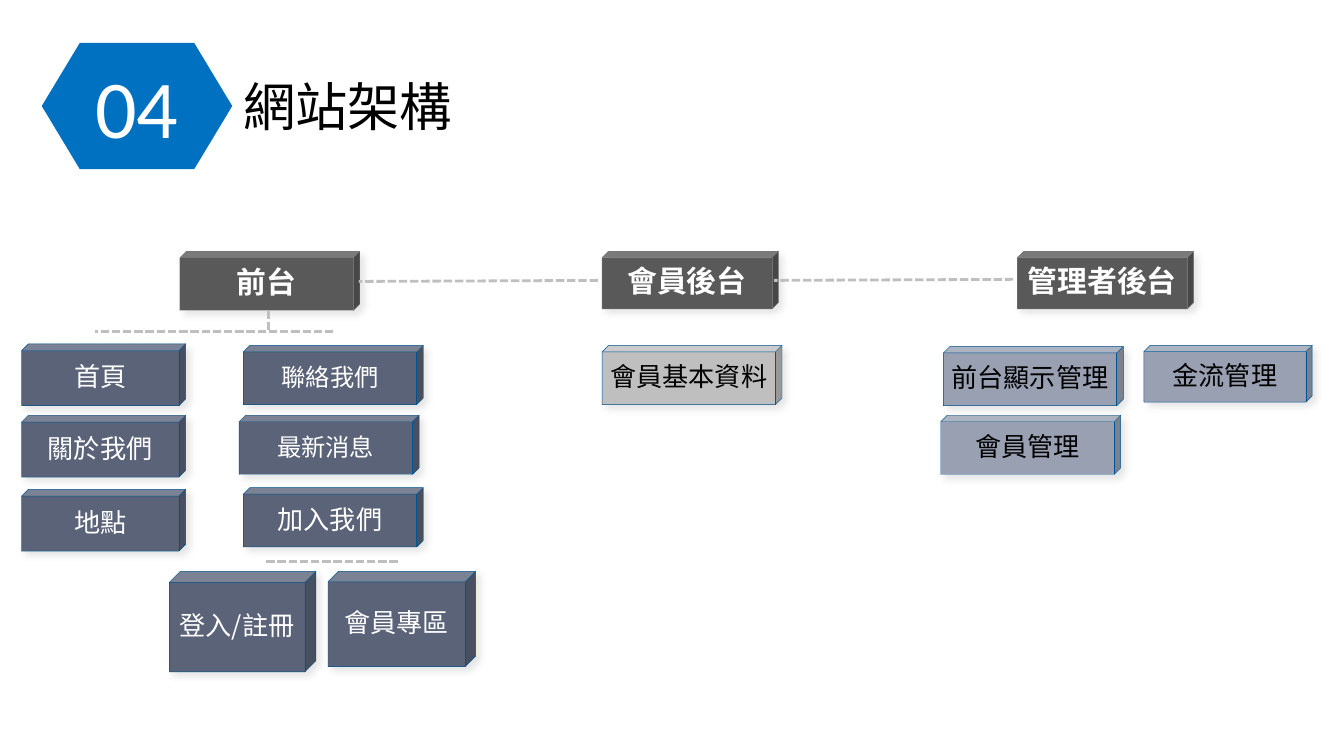
from lxml import etree
from pptx import Presentation
from pptx.dml import color
from pptx.enum import dml, shapes, text
from pptx.oxml import ns
from pptx.util import Cm, Pt

HUES = {
    "blue": "0070C0", "edge": "005490", "rim": "727272", "head": "595959",
    "slate": "5A6378", "mist": "98A0B2", "grey": "BFBFBF",
    "white": "FFFFFF", "black": "000000",
}
SANS = "Noto Sans CJK JP"
TITLE = "Noto Sans CJK TC"
SIZE = (3.4, 1.12)
HEAD = (3.33, 1.09)


def rgb(name):
    """Return the named colour."""
    return color.RGBColor.from_string(HUES[name])


def sub(node, tag, **attrs):
    """Append a drawing element and return it."""
    return etree.SubElement(node, ns.qn(tag), attrs)


def write(frame, words, size, face, hue, bold=False):
    """Put one styled paragraph in a text frame and return it."""
    frame.word_wrap = True
    para = frame.paragraphs[0]
    para.text = words
    font = para.font
    font.size, font.name, font.bold = Pt(size), face, bold
    font.color.rgb = rgb(hue)
    sub(font._element, "a:ea", typeface=face)
    return para


def pad(frame, gap):
    """Set all four insets of a text frame."""
    frame.margin_left = frame.margin_right = Cm(gap)
    frame.margin_top = frame.margin_bottom = Cm(gap)


def cube(slide, x, y, dims, words, fill, ink="white", size=14, edge="edge"):
    """Draw a labelled cube with a soft shadow."""
    box = slide.shapes.add_shape(
        shapes.MSO_SHAPE.CUBE, Cm(x), Cm(y), Cm(dims[0]), Cm(dims[1]))
    box.adjustments[0] = 0.11
    box.fill.solid()
    box.fill.fore_color.rgb = rgb(fill)
    box.line.color.rgb = rgb(edge)
    box.line.width = Pt(0.25)
    box.shadow.inherit = False
    glow = sub(box._element.spPr.find(ns.qn("a:effectLst")), "a:outerShdw",
               blurRad=str(Pt(4)), dist=str(Pt(3)), dir="2700000",
               algn="tl", rotWithShape="0")
    tint = sub(glow, "a:srgbClr", val=HUES["black"])
    sub(tint, "a:alpha", val="10000")
    frame = box.text_frame
    pad(frame, 0.13)
    frame.vertical_anchor = text.MSO_ANCHOR.MIDDLE
    para = write(frame, words, size, SANS, ink, fill == "head")
    para.alignment = text.PP_ALIGN.CENTER
    para.line_spacing = 0.9
    para.space_before = Pt(size / 5)


def head(slide, x, y, words, dims=HEAD):
    """Draw the dark cube that heads a branch."""
    cube(slide, x, y, dims, words, "head", size=16, edge="rim")


def link(slide, x1, y1, x2, y2):
    """Draw a dashed grey line."""
    line = slide.shapes.add_connector(
        shapes.MSO_CONNECTOR.STRAIGHT, Cm(x1), Cm(y1), Cm(x2), Cm(y2))
    line.line.color.rgb = rgb("grey")
    line.line.width = Pt(1.5)
    line.line.dash_style = dml.MSO_LINE.SQUARE_DOT
    sub(line._element.spPr, "a:effectLst")


def banner(slide, x, y):
    """Draw the numbered hexagon and the slide title."""
    badge = slide.shapes.add_shape(
        shapes.MSO_SHAPE.FLOWCHART_PREPARATION, Cm(x), Cm(y), Cm(3.6), Cm(2.39))
    badge.fill.solid()
    badge.fill.fore_color.rgb = rgb("blue")
    badge.line.fill.background()
    badge.shadow.inherit = False
    badge.text_frame.vertical_anchor = text.MSO_ANCHOR.MIDDLE
    para = write(badge.text_frame, "04", 44, "Calibri", "white")
    para.alignment = text.PP_ALIGN.CENTER
    title = slide.shapes.add_textbox(
        Cm(x + 3.81), Cm(y + 0.59), Cm(13.64), Cm(1.19))
    pad(title.text_frame, 0)
    write(title.text_frame, "網站架構", 28, TITLE, "black")


def front(slide, x, y):
    """Draw the public site branch."""
    head(slide, x + 2.99, y, "前台", SIZE)
    for dx, dy, dims, words, size in (
        (0, 1.75, (3.1, 1.17), "首頁", 14),
        (0, 3.1, (3.1, 1.17), "關於我們", 14),
        (0, 4.5, (3.1, 1.17), "地點", 14),
        (4.19, 1.78, SIZE, "聯絡我們", 13),
        (4.11, 3.1, SIZE, "最新消息", 13),
        (4.19, 4.47, SIZE, "加入我們", 14),
        (2.79, 6.05, (2.77, 1.9), "登入/註冊", 14),
        (5.79, 6.05, (2.79, 1.8), "會員專區", 14),
    ):
        cube(slide, x + dx, y + dy, dims, words, "slate", size=size)
    for x1, y1, x2, y2 in (
        (4.67, 1.12, 4.67, 1.52),
        (5.89, 1.52, 1.39, 1.52),
        (7.11, 5.87, 4.62, 5.87),
    ):
        link(slide, x + x1, y + y1, x + x2, y + y2)


def member(slide, x, y):
    """Draw the member branch with its links to both sides."""
    head(slide, x, y, "會員後台")
    cube(slide, x, y + 1.78, SIZE, "會員基本資料", "grey", "black")
    link(slide, x - 0.08, y + 0.55, x - 4.6, y + 0.57)
    link(slide, x + 7.77, y + 0.53, x + 3.25, y + 0.55)


def admin(slide, x, y):
    """Draw the administrator branch."""
    head(slide, x + 1.45, y, "管理者後台")
    for dx, dy, dims, words in (
        (0.05, 1.8, SIZE, "前台顯示管理"),
        (0, 3.1, SIZE, "會員管理"),
        (3.84, 1.78, (3.18, 1.07), "金流管理"),
    ):
        cube(slide, x + dx, y + dy, dims, words, "mist", "black")


def main():
    """Build and save the slide."""
    deck = Presentation()
    deck.slide_width, deck.slide_height = Cm(25.4), Cm(14.29)
    slide = deck.slides.add_slide(deck.slide_layouts[6])
    banner(slide, 0.79, 0.81)
    front(slide, 0.41, 4.75)
    member(slide, 11.38, 4.75)
    admin(slide, 17.78, 4.75)
    deck.save("out.pptx")


if __name__ == "__main__":
    main()
